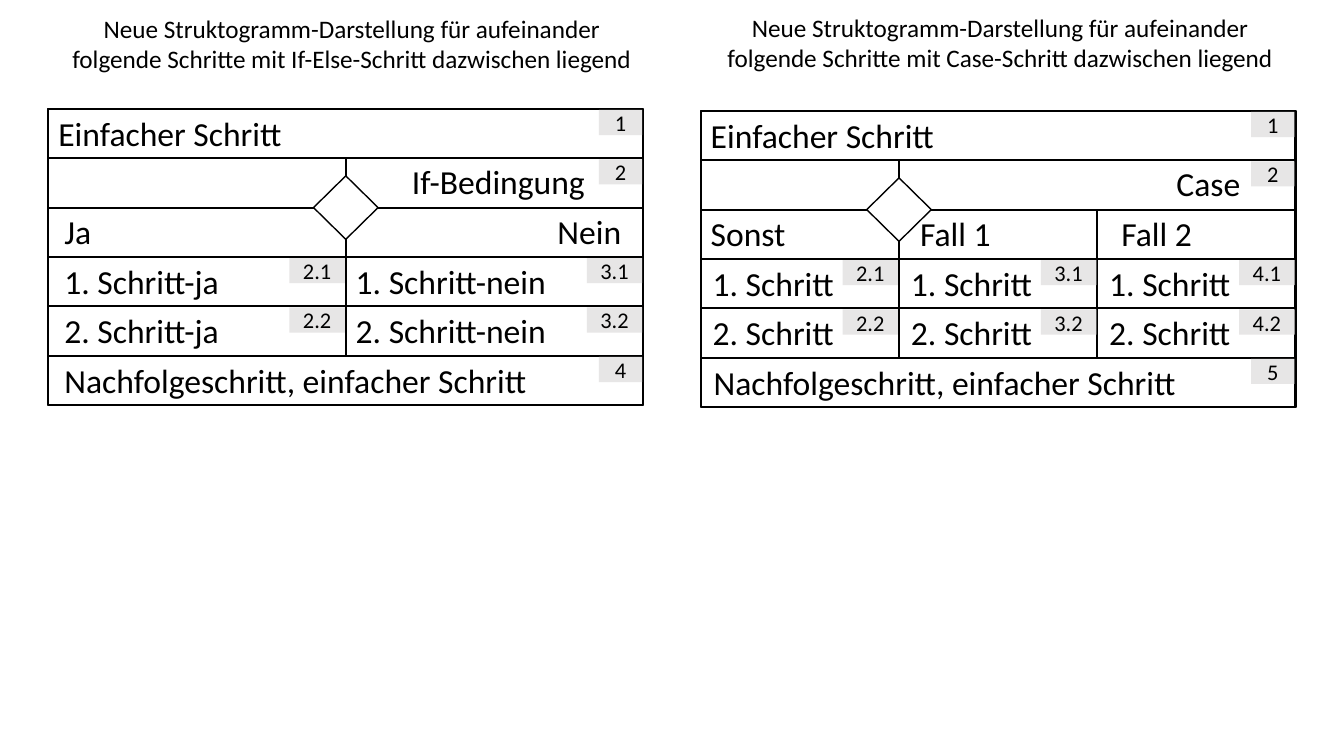
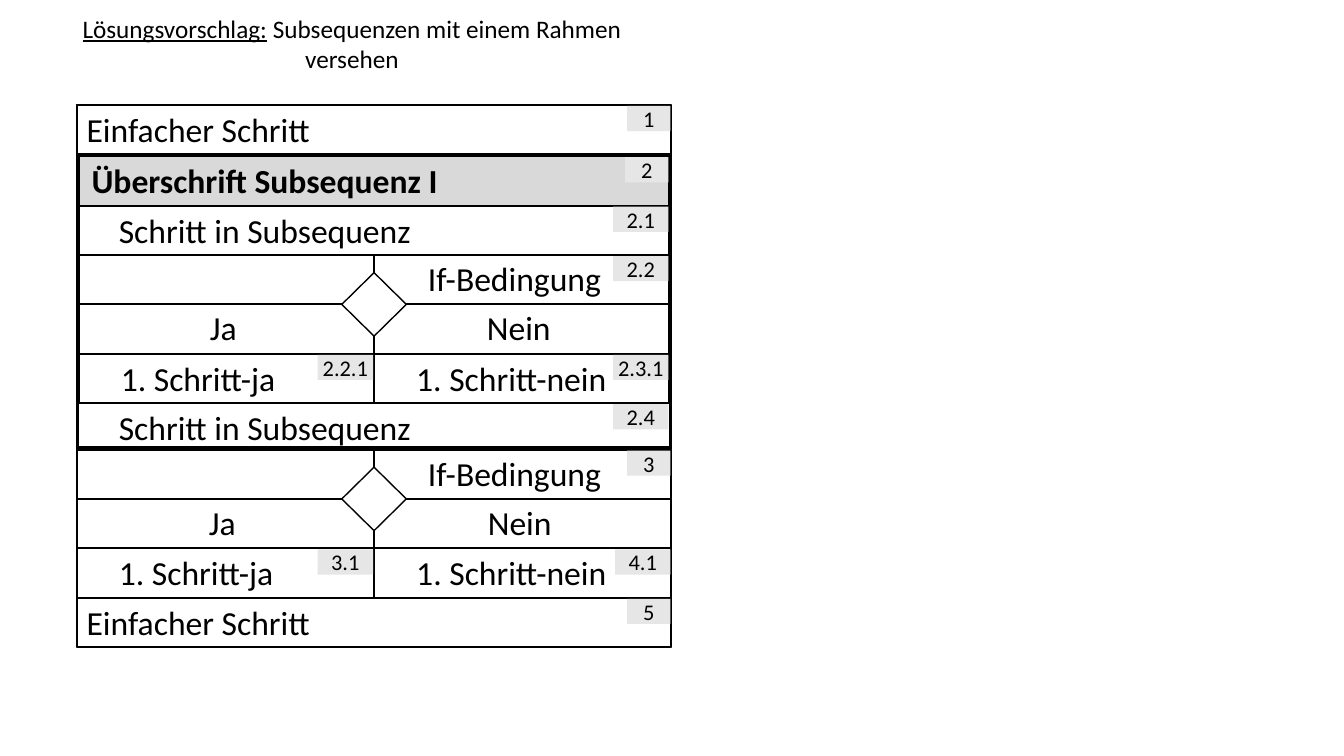
from dataclasses import dataclass
from lxml.etree import SubElement
from pptx import Presentation
from pptx.dml.color import RGBColor
from pptx.enum.shapes import MSO_CONNECTOR, MSO_SHAPE
from pptx.enum.text import MSO_ANCHOR, MSO_AUTO_SIZE, PP_ALIGN
from pptx.oxml.ns import qn
from pptx.util import Inches, Pt


@dataclass(frozen=True)
class Theme:
    font: str = "Calibri"
    ink: RGBColor = RGBColor(0x00, 0x00, 0x00)
    paper: RGBColor = RGBColor(0xFF, 0xFF, 0xFF)
    tag: RGBColor = RGBColor(0xE7, 0xE6, 0xE6)
    band: RGBColor = RGBColor(0xD9, 0xD9, 0xD9)
    title_size: int = 18
    step_size: int = 24
    tag_size: int = 16
    thin: float = 1
    line: float = 1.5
    thick: float = 2.5


@dataclass(frozen=True)
class Box:
    x: float
    y: float
    w: float
    h: float

    def inches(self):
        return [Inches(v) for v in (self.x, self.y, self.w, self.h)]

    def row(self, i):
        return Box(self.x, self.y + i * ROW, self.w, ROW)

    def column(self, i, count):
        return Box(self.x + i * self.w / count, self.y, self.w / count, self.h)


@dataclass(frozen=True)
class Branch:
    answer: str
    steps: list
    answer_indent: float = 0
    step_indent: float = 0
    align: PP_ALIGN = PP_ALIGN.LEFT


THEME = Theme()
ROW = 0.49
TAG_ROOM = 0.45
DIAMOND_W, DIAMOND_H = 0.64, 0.63


# Basic parts
def style_run(r, size, bold=False):
    r.font.name = THEME.font
    r.font.size = Pt(size)
    r.font.color.rgb = THEME.ink
    r.font.bold = bold


def add_box(s, box, fill=THEME.paper, width=THEME.line, kind=MSO_SHAPE.RECTANGLE):
    sp = s.shapes.add_shape(kind, *box.inches())
    sp.shadow.inherit = False
    sp.fill.solid()
    sp.fill.fore_color.rgb = fill
    if width:
        sp.line.color.rgb = THEME.ink
        sp.line.width = Pt(width)
    else:
        sp.line.fill.background()
    return sp


def add_text(s, box, parts, size=THEME.step_size, align=PP_ALIGN.LEFT, bold=False):
    sp = s.shapes.add_textbox(*box.inches())
    tf = sp.text_frame
    tf.word_wrap = True
    tf.auto_size = MSO_AUTO_SIZE.SHAPE_TO_FIT_TEXT
    p = tf.paragraphs[0]
    p.alignment = align
    for part in parts:
        r = p.add_run()
        r.text = part
        style_run(r, size, bold)
    return p


def add_tag(s, cell, number):
    w = 0.43 if len(number) == 1 else 0.55
    sp = add_box(s, Box(cell.x + cell.w - w - 0.01, cell.y + 0.01, w, 0.25),
                 THEME.tag, width=0)
    tf = sp.text_frame
    tf.word_wrap = False
    tf.vertical_anchor = MSO_ANCHOR.MIDDLE
    tf.margin_left = tf.margin_right = Inches(0.04)
    tf.text = number
    p = tf.paragraphs[0]
    p.alignment = PP_ALIGN.CENTER
    style_run(p.runs[0], THEME.tag_size)


def add_divider(s, x, top, bottom):
    c = s.shapes.add_connector(MSO_CONNECTOR.STRAIGHT, Inches(x), Inches(top),
                               Inches(x), Inches(bottom))
    c.line.color.rgb = THEME.ink
    c.line.width = Pt(THEME.line)
    SubElement(c._element.spPr, qn("a:effectLst"))


# Regions of a structogram
def title(s, box, *parts):
    return add_text(s, box, parts, THEME.title_size, PP_ALIGN.CENTER)


def step_text(s, cell, text, number, indent=0, bold=False):
    add_text(s, Box(cell.x + indent, cell.y - 0.01, cell.w - indent - TAG_ROOM, 0.5),
             [text], bold=bold)
    add_tag(s, cell, number)


def step(s, cell, text, number, indent=0, fill=THEME.paper, bold=False):
    add_box(s, cell, fill)
    step_text(s, cell, text, number, indent, bold)


def decision(s, box, condition, number, branches, inset):
    """Condition row, answer row and one row for each step of the branches."""
    rows = 2 + len(branches[0].steps)
    bottom = box.y + rows * ROW
    add_box(s, Box(box.x, box.y, box.w, rows * ROW))
    for i in range(rows):
        add_box(s, box.row(i))

    # Dividers, with the diamond on the first one
    columns = [box.column(i, len(branches)) for i in range(len(branches))]
    for i, col in enumerate(columns[1:]):
        add_divider(s, col.x, box.y + (ROW if i else 0), bottom)
    add_box(s, Box(columns[1].x - DIAMOND_W / 2, box.y + ROW - DIAMOND_H / 2,
                   DIAMOND_W, DIAMOND_H), width=THEME.thin, kind=MSO_SHAPE.DIAMOND)

    # Condition
    right = box.x + box.w - inset
    add_text(s, Box(right - 2.1, box.y - 0.02, 2.1, 0.5), [condition],
             align=PP_ALIGN.RIGHT)
    add_tag(s, box.row(0), number)

    # Answers and their steps
    for col, branch in zip(columns, branches):
        cell = col.row(1)
        add_text(s, Box(cell.x + branch.answer_indent, cell.y - 0.02,
                        cell.w - branch.answer_indent - 0.12, 0.5),
                 [branch.answer], align=branch.align)
        for i, (text, tag) in enumerate(branch.steps, start=2):
            step_text(s, col.row(i), text, tag, branch.step_indent)


def sequence(s, box, condition, branches, last_number, inset, last_indent):
    """Simple step, decision, simple step."""
    add_box(s, box)
    step(s, box.row(0), "Einfacher Schritt", "1")
    decision(s, box.row(1), condition, "2", branches, inset)
    step(s, box.row(5), "Nachfolgeschritt, einfacher Schritt", last_number, last_indent)


def yes_no(yes_tag, no_tag):
    return [Branch("Ja", [("1. Schritt-ja", yes_tag)], 0.06, 0.32, PP_ALIGN.CENTER),
            Branch("Nein", [("1. Schritt-nein", no_tag)], 0.06, 0.32, PP_ALIGN.CENTER)]


def subsequence(s, box):
    """Framed group with a heading band."""
    add_box(s, box, width=THEME.thick)
    inner = Box(box.x + 0.01, box.y + 0.01, box.w - 0.02, box.h)
    step(s, inner.row(0), "Überschrift Subsequenz I", "2", 0.03, THEME.band, bold=True)
    step(s, inner.row(1), "Schritt in Subsequenz", "2.1", 0.3)
    decision(s, inner.row(2), "If-Bedingung", "2.2", yes_no("2.2.1", "2.3.1"), 0.58)
    step_text(s, inner.row(5), "Schritt in Subsequenz", "2.4", 0.3)


# Slides
def comparison_slide(prs):
    s = prs.slides.add_slide(prs.slide_layouts[6])
    lead = "Neue Struktogramm-Darstellung für aufeinander folgende Schritte mit "
    title(s, Box(0.55, 0.08, 5.88, 0.71), lead + "If-Else-Schritt dazwischen liegend")
    title(s, Box(6.98, 0.07, 5.88, 0.71), lead + "Case-Schritt dazwischen liegend")

    answers = [
        Branch("Ja", [("1. Schritt-ja", "2.1"), ("2. Schritt-ja", "2.2")], 0.06, 0.06),
        Branch("Nein", [("1. Schritt-nein", "3.1"), ("2. Schritt-nein", "3.2")],
               align=PP_ALIGN.RIGHT),
    ]
    sequence(s, Box(0.48, 1.08, 5.9, 6 * ROW), "If-Bedingung", answers, "4", 0.48, 0.06)

    cases = [Branch(name, [(f"{n}. Schritt", f"{group}.{n}") for n in (1, 2)],
                    indent, 0.02)
             for group, (name, indent) in enumerate(
                 [("Sonst", 0), ("Fall 1", 0.11), ("Fall 2", 0.14)], start=2)]
    sequence(s, Box(6.95, 1.1, 5.9, 6 * ROW), "Case", cases, "5", 0.45, 0.03)


def proposal_slide(prs):
    s = prs.slides.add_slide(prs.slide_layouts[6])
    p = title(s, Box(0.55, 0.08, 5.88, 0.71), "Lösungsvorschlag:",
              " Subsequenzen mit einem Rahmen versehen")
    p.runs[0].font.underline = True

    box = Box(0.76, 1.04, 5.9, 5.38)
    add_box(s, box)
    step(s, box.row(0), "Einfacher Schritt", "1")
    subsequence(s, Box(box.x + 0.01, box.y + 0.5, box.w - 0.02, 2.9))
    second = Box(box.x, box.y + 3.42, box.w, 3 * ROW)
    decision(s, second, "If-Bedingung", "3", yes_no("3.1", "4.1"), 0.6)
    step(s, second.row(3), "Einfacher Schritt", "5")


prs = Presentation()
prs.slide_width, prs.slide_height = Inches(13.33), Inches(7.5)
comparison_slide(prs)
proposal_slide(prs)
prs.save("out.pptx")
